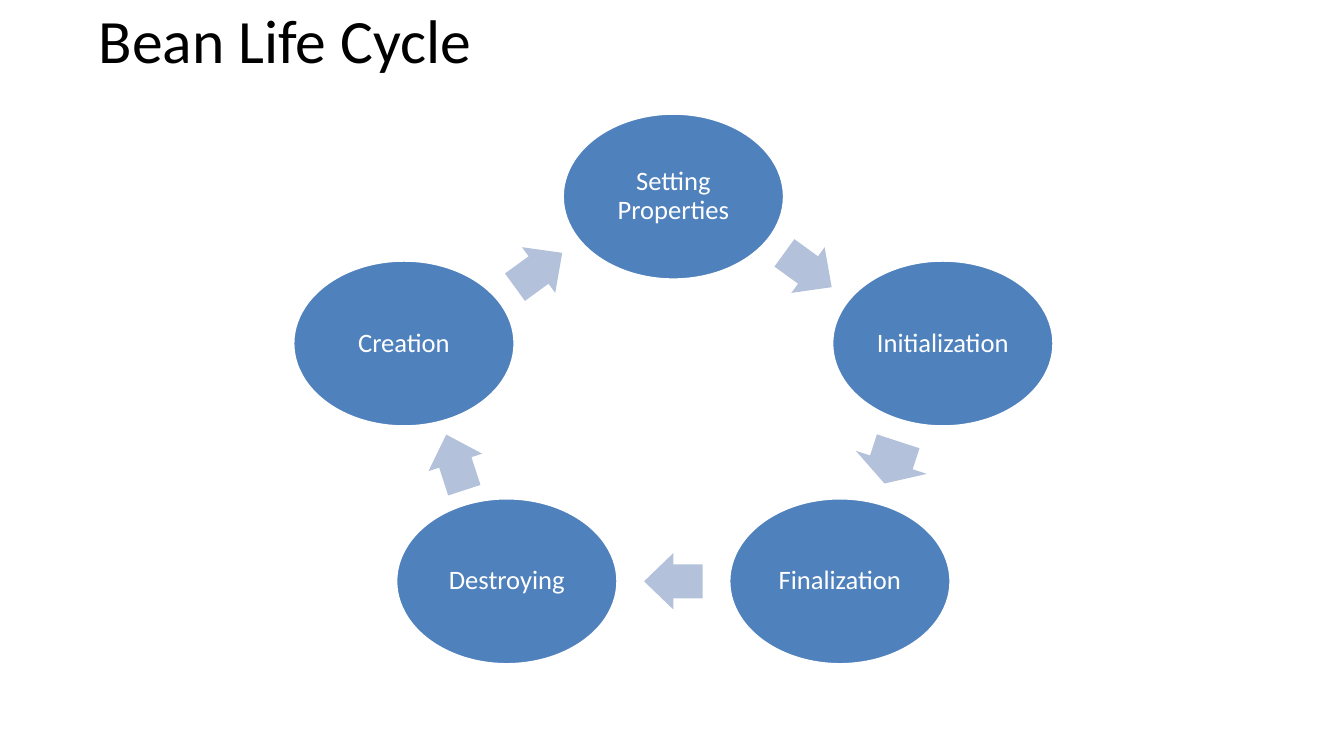
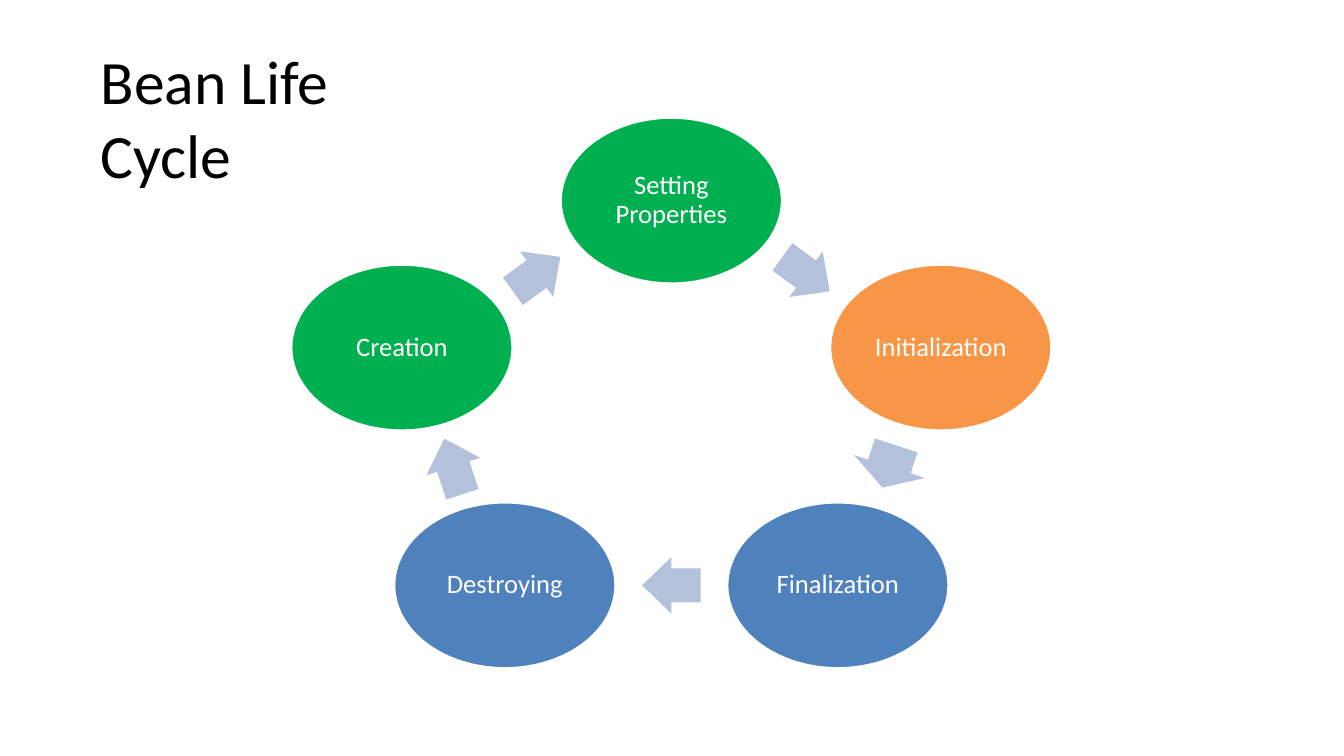
"""Build two slides that show the life cycle of a bean."""
import math

from pptx import Presentation
from pptx import util as u
from pptx.dml.color import RGBColor
from pptx.enum import shapes, text

WIDTH, HEIGHT = u.Inches(13.33), u.Inches(7.5)
FONT = "Calibri"
BLUE, GREEN, ORANGE = "4F81BD", "00B050", "F79646"
PALE, WHITE, BLACK = "B3C1DB", "FFFFFF", "000000"

STAGES = ["Setting Properties", "Initialization", "Finalization",
          "Destroying", "Creation"]
STEP = 360 / len(STAGES)
RING = (21.08, 28.13)
NODE = (16.5, 22)
ARROW, SHORT_ARROW = (4.35, 7.47), (3.3, 9.87)
ARROWS = [ARROW, SHORT_ARROW, ARROW, ARROW, ARROW]

TITLE_FRAME = {"word_wrap": True, "auto_size": text.MSO_AUTO_SIZE.NONE,
               "vertical_anchor": text.MSO_ANCHOR.TOP}
NODE_FRAME = {"word_wrap": True, "vertical_anchor": text.MSO_ANCHOR.MIDDLE}
NO_MARGINS = dict.fromkeys(
    ("margin_left", "margin_top", "margin_right", "margin_bottom"), 0)
TITLE_PARA = {"alignment": text.PP_ALIGN.LEFT}
NODE_PARA = {"alignment": text.PP_ALIGN.CENTER, "line_spacing": 0.9}

PAGES = [
    {"title_box": (7.35, 0.27, 79.73, 21.87), "center": (50.1, 54.13),
     "fills": [BLUE] * 5},
    {"title_box": (7.5, 5.73, 27, 10.13), "center": (49.95, 54.67),
     "fills": [GREEN, ORANGE, BLUE, BLUE, GREEN]},
]


def color(value):
    """Turn a hex string into a colour."""
    return RGBColor.from_string(value)


def across(share):
    """Turn a percentage of the slide's width into a length."""
    return u.Emu(round(WIDTH * share / 100))


def down(share):
    """Turn a percentage of the slide's height into a length."""
    return u.Emu(round(HEIGHT * share / 100))


def apply(target, formats):
    """Set each format value on the target."""
    for name, value in formats.items():
        setattr(target, name, value)


def write(box, words, size, ink, frame_formats, para_formats):
    """Write one formatted paragraph into a box."""
    frame = box.text_frame
    apply(frame, {**NO_MARGINS, **frame_formats})
    para = frame.paragraphs[0]
    apply(para, para_formats)
    span = para.add_run()
    span.text = words
    apply(span.font, {"name": FONT, "size": u.Pt(size)})
    span.font.color.rgb = color(ink)


def add_title(page, words, place):
    """Move the title placeholder and fill it."""
    left, top, width, height = place
    title = page.shapes.title
    apply(title, {"left": across(left), "top": down(top),
                  "width": across(width), "height": down(height)})
    write(title, words, 44, BLACK, TITLE_FRAME, TITLE_PARA)


def add_centered(group, kind, center, size, fill):
    """Add a flat preset shape around a centre point."""
    (x, y), (width, height) = center, size
    box = group.shapes.add_shape(
        kind, across(x - width / 2), down(y - height / 2),
        across(width), down(height))
    box.shadow.inherit = False
    box.fill.solid()
    box.fill.fore_color.rgb = color(fill)
    box.line.fill.background()
    return box


def add_node(group, words, center, fill):
    """Add one stage of the cycle."""
    node = add_centered(group, shapes.MSO_SHAPE.OVAL, center, NODE, fill)
    node.line.color.rgb = color(WHITE)
    node.line.width = u.Pt(2)
    write(node, words, 19, WHITE, NODE_FRAME, NODE_PARA)


def add_arrow(group, center, size, angle):
    """Add an arrow whose head takes half of its length."""
    arrow = add_centered(
        group, shapes.MSO_SHAPE.RIGHT_ARROW, center, size, PALE)
    arrow.rotation = angle
    arrow.adjustments[0] = 0.6
    arrow.adjustments[1] = arrow.width / 2 / min(arrow.width, arrow.height)


def ring_point(center, index):
    """Find the place of a stage, clockwise from the top."""
    angle = math.radians(STEP * index)
    return (center[0] + RING[0] * math.sin(angle),
            center[1] - RING[1] * math.cos(angle))


def add_cycle(page, center, fills):
    """Add the ring of stages with an arrow after each one."""
    group = page.shapes.add_group_shape()
    for index, (words, fill, size) in enumerate(zip(STAGES, fills, ARROWS)):
        here, following = (ring_point(center, index + i) for i in (0, 1))
        middle = [(a + b) / 2 for a, b in zip(here, following)]
        add_node(group, words, here, fill)
        add_arrow(group, middle, size, STEP * (index + 0.5))


def main():
    """Build and save the deck."""
    deck = Presentation()
    apply(deck, {"slide_width": WIDTH, "slide_height": HEIGHT})
    layout = deck.slide_layouts.get_by_name("Title Only")
    for content in PAGES:
        page = deck.slides.add_slide(layout)
        add_title(page, "Bean Life Cycle", content["title_box"])
        add_cycle(page, content["center"], content["fills"])
    deck.save("out.pptx")


if __name__ == "__main__":
    main()
